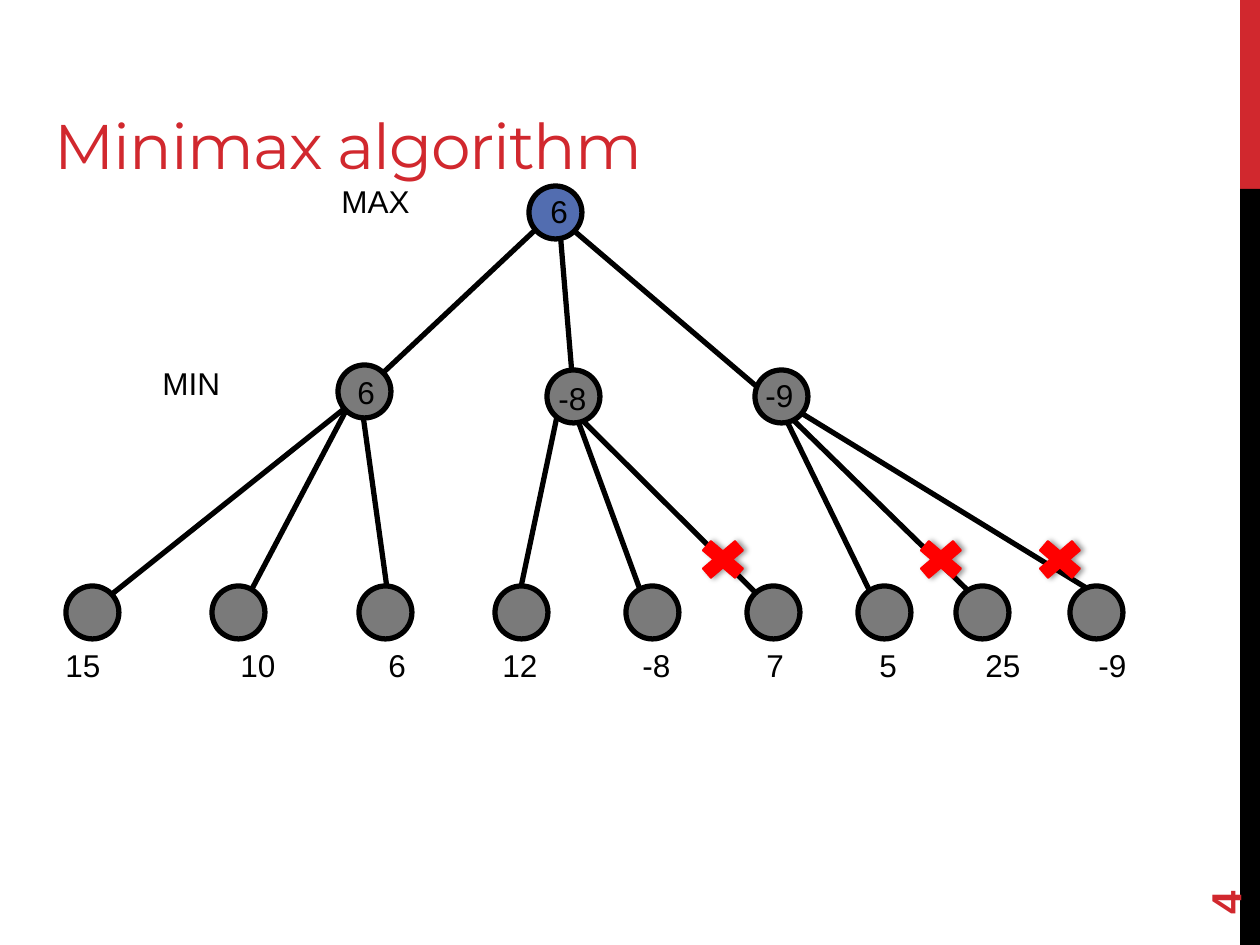
"""Build a slide showing a minimax tree with pruned branches."""
from typing import NamedTuple

from lxml import etree
from pptx import Presentation
from pptx.dml.color import RGBColor
from pptx.enum.shapes import MSO_CONNECTOR, MSO_SHAPE
from pptx.enum.text import MSO_ANCHOR, MSO_AUTO_SIZE, PP_ALIGN
from pptx.oxml.ns import qn
from pptx.util import Pt

SCALE = 914400 / 126
RED = RGBColor(0xD1, 0x28, 0x2E)
CROSS = RGBColor(0xFF, 0x00, 0x00)
BLUE = RGBColor(0x52, 0x6D, 0xB0)
GREY = RGBColor(0x7A, 0x7A, 0x7A)
BLACK = RGBColor(0x00, 0x00, 0x00)
RECT, OVAL, TIMES = MSO_SHAPE.RECTANGLE, MSO_SHAPE.OVAL, MSO_SHAPE.MATH_MULTIPLY
STRAIGHT = MSO_CONNECTOR.STRAIGHT
TOP, MIDDLE, BOTTOM = MSO_ANCHOR.TOP, MSO_ANCHOR.MIDDLE, MSO_ANCHOR.BOTTOM
LEFT, FIXED = PP_ALIGN.LEFT, MSO_AUTO_SIZE.NONE
SIZE = 53
LEAF_TOP = 586


class Box(NamedTuple):
    """A frame in px."""
    x: int
    y: int
    w: int
    h: int


class Edge(NamedTuple):
    """A branch from parent to child in px."""
    x: int
    y: int
    to_x: int
    to_y: int


class Node(NamedTuple):
    """A circle on the tree."""
    x: int
    y: int
    fill: RGBColor = GREY


class Label(NamedTuple):
    """A piece of text and its frame."""
    text: str
    box: Box
    wrap: bool = False


class Leaf(NamedTuple):
    """A leaf circle, its value and where the value starts."""
    x: int
    value: str
    text_x: int


EDGES = [
    Edge(548, 218, 369, 386), Edge(559, 218, 573, 386), Edge(559, 218, 769, 397),
    Edge(359, 397, 97, 606), Edge(359, 386, 243, 606), Edge(359, 386, 391, 617),
    Edge(559, 407, 517, 606), Edge(573, 407, 646, 606), Edge(559, 397, 780, 617),
    Edge(780, 407, 877, 606), Edge(780, 407, 995, 617), Edge(762, 389, 1106, 600),
]
LEAVES = [
    Leaf(66, "15", 65), Leaf(212, "10", 240), Leaf(359, "6", 388),
    Leaf(495, "12", 502), Leaf(626, "-8", 642), Leaf(747, "7", 766),
    Leaf(858, "5", 879), Leaf(956, "25", 985), Leaf(1070, "-9", 1098),
]
NODES = [Node(529, 186, BLUE), Node(338, 365), Node(547, 370), Node(755, 370)]
NODES += [Node(leaf.x, LEAF_TOP) for leaf in LEAVES]
LABELS = [
    Label("MAX", Box(329, 176, 123, 63), True),
    Label("MIN", Box(150, 358, 107, 63), True),
    Label("6", Box(345, 367, 43, 50)), Label("-8", Box(546, 373, 54, 50)),
    Label("-9", Box(753, 370, 54, 50)), Label("6", Box(538, 186, 43, 50)),
]
CUTS = [692, 910, 1029]


def emu(px: int) -> int:
    """Turn px into EMU."""
    return round(px * SCALE)


def frame(box: Box) -> list[int]:
    """Turn a box into EMU."""
    return [emu(side) for side in box]


def add_run(para, text: str, size: int, color: RGBColor, font: str = "Arial"):
    """Add one styled run."""
    run = para.add_run()
    run.text = text
    run.font.size = Pt(size)
    run.font.name = font
    run.font.color.rgb = color
    return run


def draw_shape(slide, kind, box: Box, fill: RGBColor, line: RGBColor | None = None,
               width: int = 3):
    """Draw a filled shape with an optional outline."""
    shape = slide.shapes.add_shape(kind, *frame(box))
    shape.shadow.inherit = False
    shape.fill.solid()
    shape.fill.fore_color.rgb = fill
    if line is None:
        shape.line.fill.background()
    else:
        shape.line.color.rgb = line
        shape.line.width = Pt(width)
    return shape


def draw_edge(slide, edge: Edge) -> None:
    """Draw one branch."""
    link = slide.shapes.add_connector(STRAIGHT, *frame(edge))
    link.line.color.rgb = BLACK
    link.line.width = Pt(3)
    etree.SubElement(link._element.spPr, qn("a:effectLst"))


def draw_label(slide, label: Label, size: int = 18, color: RGBColor = BLACK):
    """Draw a text box and return it."""
    box = slide.shapes.add_textbox(*frame(label.box))
    box.text_frame.word_wrap = label.wrap
    box.text_frame.vertical_anchor = TOP
    add_run(box.text_frame.paragraphs[0], label.text, size, color)
    return box


def draw_values(slide) -> None:
    """Draw the leaf values in one line with tab stops."""
    row = Label("\t".join(leaf.value for leaf in LEAVES), Box(53, 640, 1130, 50), True)
    para = draw_label(slide, row).text_frame.paragraphs[0]
    stops = etree.SubElement(para._p.get_or_add_pPr(), qn("a:tabLst"))
    for leaf in LEAVES[1:]:
        pos = emu(leaf.text_x - LEAVES[0].text_x)
        etree.SubElement(stops, qn("a:tab"), pos=str(pos), algn="l")


def draw_cut(slide, x: int) -> None:
    """Draw a cross with a soft shadow on a pruned branch."""
    cross = draw_shape(slide, TIMES, Box(x, 533, 62, SIZE), CROSS, CROSS, 1)
    effects = cross._element.spPr.find(qn("a:effectLst"))
    shade = etree.SubElement(effects, qn("a:outerShdw"), blurRad=str(Pt(3.1)),
                             dist=str(Pt(1.8)), dir="0", rotWithShape="0")
    color = etree.SubElement(shade, qn("a:srgbClr"), val=str(BLACK))
    etree.SubElement(color, qn("a:alpha"), val="40000")


def draw_title(slide) -> None:
    """Place and fill the title."""
    title = slide.shapes.title
    title.left, title.top, title.width, title.height = frame(Box(42, 15, 1124, 173))
    text = title.text_frame
    text.auto_size = FIXED
    text.vertical_anchor = BOTTOM
    text.paragraphs[0].alignment = LEFT
    run = add_run(text.paragraphs[0], "Minimax algorithm", 36, RED, "Montserrat")
    run._r.get_or_add_rPr().set("spc", "-60")


def draw_number(slide) -> None:
    """Draw the turned slide number."""
    box = draw_label(slide, Label("4", Box(1134, 811, 181, 50), True), 24, RED)
    box.rotation = 270
    box.text_frame.vertical_anchor = MIDDLE
    box.text_frame.paragraphs[0].runs[0].font.bold = True


def main() -> None:
    """Build and save the slide."""
    deck = Presentation()
    deck.slide_width, deck.slide_height = emu(1260), emu(945)
    slide = deck.slides.add_slide(deck.slide_layouts[5])
    draw_shape(slide, RECT, Box(1240, 0, 20, 189), RED)
    draw_shape(slide, RECT, Box(1240, 189, 20, 756), BLACK)
    draw_title(slide)
    draw_number(slide)
    for edge in EDGES:
        draw_edge(slide, edge)
    for node in NODES:
        draw_shape(slide, OVAL, Box(node.x, node.y, SIZE, SIZE), node.fill, BLACK)
    draw_values(slide)
    for label in LABELS:
        draw_label(slide, label)
    for x in CUTS:
        draw_cut(slide, x)
    deck.save("out.pptx")


if __name__ == "__main__":
    main()
